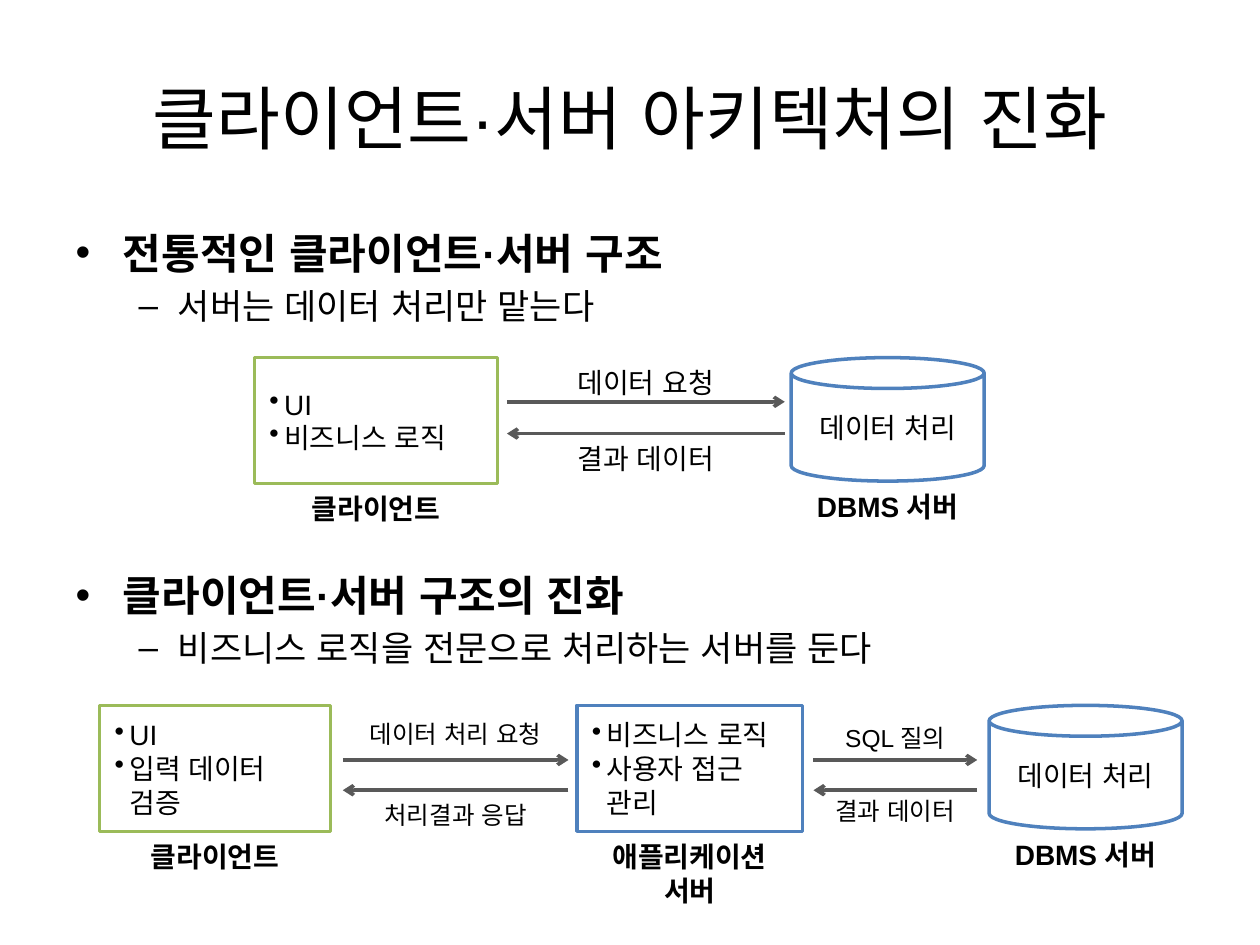
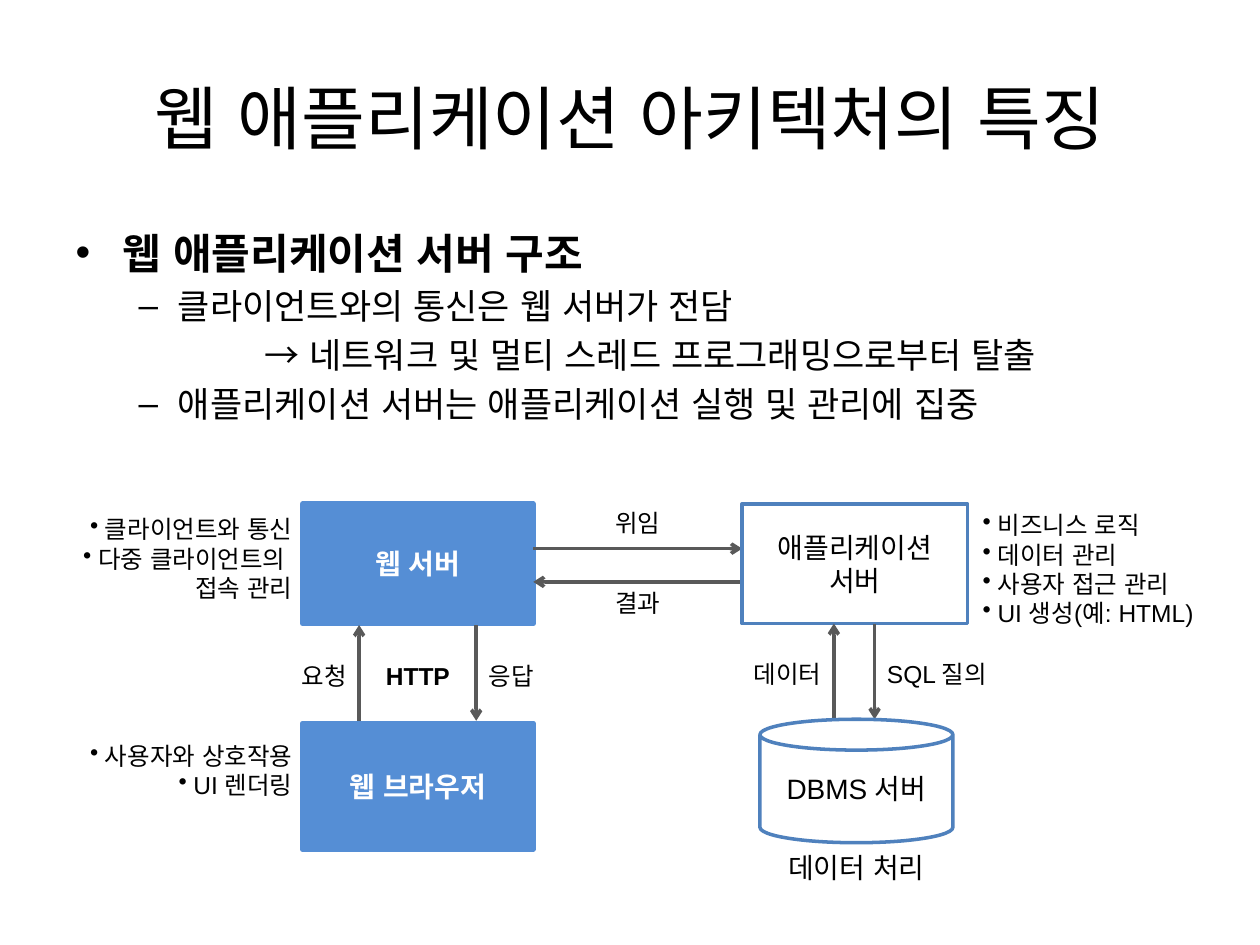
from lxml import etree
from pptx import Presentation
from pptx.dml.color import RGBColor
from pptx.enum.lang import MSO_LANGUAGE_ID
from pptx.enum.shapes import MSO_CONNECTOR, MSO_SHAPE
from pptx.enum.text import MSO_ANCHOR, MSO_AUTO_SIZE, PP_ALIGN
from pptx.oxml.ns import qn
from pptx.util import Cm, Pt

COLORS = {
    "text": "000000",
    "white": "FFFFFF",
    "client": "9BBB59",
    "server": "4F81BD",
    "web": "558ED5",
    "arrow": "595959",
}
FONT = "Arial"
MARGIN, CONTENT_WIDTH = 1.27, 22.86
TITLE_BOX = (MARGIN, 0.76, CONTENT_WIDTH, 3.18)
OUTLINE_TOP = 4.45
BOX_HEIGHT, CAN_WIDTH, CAN_HEIGHT = 2.54, 3.89, 2.49
LABEL_HEIGHT = 0.9


def rgb(name):
    return RGBColor.from_string(COLORS[name])


def set_indent(paragraph, left, first, bullet=None):
    props = paragraph._p.get_or_add_pPr()
    props.set("marL", str(Cm(left)))
    props.set("indent", str(Cm(first)))
    if bullet:
        etree.SubElement(props, qn("a:buChar")).set("char", bullet)
    else:
        etree.SubElement(props, qn("a:buNone"))


def write(paragraph, text, size=16, bold=False, color="text",
          align=PP_ALIGN.CENTER, bullet=None):
    """Fill one paragraph; a vertical tab in the text breaks the line."""
    paragraph.text = text
    paragraph.alignment = align
    if bullet:
        set_indent(paragraph, 0.4, -0.3, bullet)
    for run in paragraph.runs:
        run.font.name = FONT
        run.font.size = Pt(size)
        run.font.bold = bold
        run.font.color.rgb = rgb(color)
        run.font.language_id = MSO_LANGUAGE_ID.KOREAN


def paragraphs(frame, count):
    """Return count paragraphs, the first without space before it."""
    frame.word_wrap = True
    frame.auto_size = MSO_AUTO_SIZE.NONE
    for _ in range(count - 1):
        frame.add_paragraph()
    frame.paragraphs[0].space_before = Pt(0)
    return frame.paragraphs


def write_lines(frame, lines, **style):
    for paragraph, line in zip(paragraphs(frame, len(lines)), lines):
        write(paragraph, line, **style)


def place(placeholder, box):
    (placeholder.left, placeholder.top,
     placeholder.width, placeholder.height) = map(Cm, box)


def add_label(slide, box, *lines, **style):
    frame = slide.shapes.add_textbox(*map(Cm, box)).text_frame
    if style.get("bullet"):
        frame.margin_left = frame.margin_right = Cm(0.2)
    write_lines(frame, lines, **style)


def add_title(slide, text):
    place(slide.shapes.title, TITLE_BOX)
    write(paragraphs(slide.shapes.title.text_frame, 1)[0], text, size=39.6)


def add_outline(placeholder, top, height, heading, *points):
    place(placeholder, (MARGIN, top, CONTENT_WIDTH, height))
    first, *rest = paragraphs(placeholder.text_frame, len(points) + 1)
    write(first, heading, size=24, bold=True, align=PP_ALIGN.LEFT)
    for paragraph, point in zip(rest, points):
        paragraph.level = 1
        write(paragraph, point, size=20, align=PP_ALIGN.LEFT)
        if point.startswith("→"):
            set_indent(paragraph, 3.81, 0)


def add_node(slide, box, *lines, outline="server", fill="white", weight=2,
             shape=MSO_SHAPE.RECTANGLE, caption=(), caption_bold=True, **style):
    """Draw a machine with its text inside and its caption just below."""
    left, top, width, height = box
    node = slide.shapes.add_shape(shape, *map(Cm, box))
    node.shadow.inherit = False
    node.fill.solid()
    node.fill.fore_color.rgb = rgb(fill)
    node.line.color.rgb = rgb(outline)
    node.line.width = Pt(weight)
    frame = node.text_frame
    frame.margin_left = frame.margin_right = Cm(0.2)
    frame.vertical_anchor = MSO_ANCHOR.MIDDLE
    write_lines(frame, lines, **style)
    if caption:
        caption_box = (left, top + height + 0.04, width, LABEL_HEIGHT * len(caption))
        add_label(slide, caption_box, *caption, bold=caption_bold)


def add_role_box(slide, box, *roles, **options):
    add_node(slide, box, *roles, bullet="•", align=PP_ALIGN.LEFT, **options)


def add_database(slide, left, top, text, caption, **options):
    add_node(slide, (left, top, CAN_WIDTH, CAN_HEIGHT), text,
             shape=MSO_SHAPE.CAN, caption=(caption,), **options)


def add_arrow(slide, *ends):
    arrow = slide.shapes.add_connector(MSO_CONNECTOR.STRAIGHT, *map(Cm, ends))
    arrow.line.color.rgb = rgb("arrow")
    arrow.line.width = Pt(2)
    etree.SubElement(arrow.line._get_or_add_ln(), qn("a:tailEnd")).set("type", "arrow")
    etree.SubElement(arrow._element.spPr, qn("a:effectLst"))


def add_exchange(slide, box, request, reply, size=14, above=0.94, below=0.0):
    """Arrows along the top (rightward) and bottom (leftward) of the box."""
    left, top, width, height = box
    right, bottom = left + width, top + height
    add_arrow(slide, left, top, right, top)
    add_arrow(slide, right, bottom, left, bottom)
    for label, label_top in ((request, top - above), (reply, bottom + below)):
        add_label(slide, (left, label_top, width, LABEL_HEIGHT), label, size=size)


def add_vertical_exchange(slide, box, upward, downward):
    """Arrows along the left (up) and right (down) of the box, labels outside."""
    left, top, width, height = box
    right, bottom = left + width, top + height
    label_width, label_top = 3.3, top + 0.6
    add_arrow(slide, left, bottom, left, top)
    add_arrow(slide, right, top, right, bottom)
    add_label(slide, (left - label_width, label_top, label_width, LABEL_HEIGHT),
              upward, size=14, align=PP_ALIGN.RIGHT)
    add_label(slide, (right, label_top, label_width, LABEL_HEIGHT),
              downward, size=14, align=PP_ALIGN.LEFT)


def add_two_tier(slide, top):
    add_role_box(slide, (5.13, top, 4.9, BOX_HEIGHT), "UI", "비즈니스 로직",
                 outline="client", caption=("클라이언트",))
    add_exchange(slide, (10.22, top + 0.89, 5.6, 0.64), "데이터 요청", "결과 데이터",
                 size=16, above=0.86, below=0.03)
    add_database(slide, 15.95, top, "데이터 처리", "DBMS 서버")


def add_three_tier(slide, top):
    arrows_top, arrow_gap = top + 1.1, 0.61
    add_role_box(slide, (2.01, top, 4.65, BOX_HEIGHT), "UI", "입력 데이터\v검증",
                 outline="client", caption=("클라이언트",))
    add_exchange(slide, (6.91, arrows_top, 4.55, arrow_gap),
                 "데이터 처리 요청", "처리결과 응답", below=0.08)
    add_role_box(slide, (11.63, top, 4.55, BOX_HEIGHT), "비즈니스 로직",
                 "사용자 접근 관리", caption=("애플리케이션", "서버"))
    add_exchange(slide, (16.4, arrows_top, 3.3, arrow_gap),
                 "SQL 질의", "결과 데이터", above=0.86)
    add_database(slide, 19.94, top, "데이터 처리", "DBMS 서버")


def add_web_side(slide, left, top):
    """Web server above the browser, with their duties to the left."""
    width, duties_width, browser_top = 4.65, 5.38, top + 4.42
    web = dict(fill="web", outline="web", weight=3, color="white", bold=True)
    duties = dict(size=14, bullet="•", align=PP_ALIGN.RIGHT)
    add_node(slide, (left, top, width, 2.41), "웹 서버", **web)
    add_node(slide, (left, browser_top, width, BOX_HEIGHT), "웹 브라우저", **web)
    add_label(slide, (left - duties_width, top + 0.08, duties_width, 2.06),
              "클라이언트와 통신", "다중 클라이언트의 \v접속 관리", **duties)
    add_label(slide, (left - duties_width, browser_top + 0.23, duties_width, 1.45),
              "사용자와 상호작용", "UI 렌더링", **duties)
    add_vertical_exchange(slide, (left + 1.14, top + 2.44, 2.36, 1.93), "요청", "응답")
    add_label(slide, (left + 0.94, top + 3.04, 2.77, LABEL_HEIGHT),
              "HTTP", size=14, bold=True)


def add_application_side(slide, left, top):
    """Application server above the database, with its duties to the right."""
    width = 4.55
    add_node(slide, (left, top, width, 2.41), "애플리케이션", "서버")
    add_label(slide, (left + width, top, 4.93, 2.64),
              "비즈니스 로직", "데이터 관리", "사용자 접근 관리", "UI 생성(예: HTML)",
              size=14, bullet="•", align=PP_ALIGN.LEFT)
    add_vertical_exchange(slide, (left + 1.85, top + 2.41, 0.82, 1.93),
                          "데이터", "SQL 질의")
    add_database(slide, left + 0.36, top + 4.34, "DBMS 서버", "데이터 처리",
                 caption_bold=False)


def add_evolution_slide(deck):
    slide = deck.slides.add_slide(deck.slide_layouts[3])
    add_title(slide, "클라이언트·서버 아키텍처의 진화")
    add_outline(slide.placeholders[1], OUTLINE_TOP, 2.51,
                "전통적인 클라이언트·서버 구조", "서버는 데이터 처리만 맡는다")
    add_two_tier(slide, 7.21)
    add_outline(slide.placeholders[2], 11.35, 2.51, "클라이언트·서버 구조의 진화",
                "비즈니스 로직을 전문으로 처리하는 서버를 둔다")
    add_three_tier(slide, 14.22)


def add_web_slide(deck):
    slide = deck.slides.add_slide(deck.slide_layouts[1])
    add_title(slide, "웹 애플리케이션 아키텍처의 특징")
    add_outline(slide.placeholders[1], OUTLINE_TOP, 4.57, "웹 애플리케이션 서버 구조",
                "클라이언트와의 통신은 웹 서버가 전담",
                "→ 네트워크 및 멀티 스레드 프로그래밍으로부터 탈출",
                "애플리케이션 서버는 애플리케이션 실행 및 관리에 집중")
    add_web_side(slide, 6.1, 10.16)
    add_exchange(slide, (10.75, 11.06, 4.21, 0.67), "위임", "결과")
    add_application_side(slide, 14.96, 10.16)


def main():
    deck = Presentation()
    deck.slide_width, deck.slide_height = Cm(25.4), Cm(19.05)
    add_evolution_slide(deck)
    add_web_slide(deck)
    deck.save("out.pptx")


if __name__ == "__main__":
    main()
